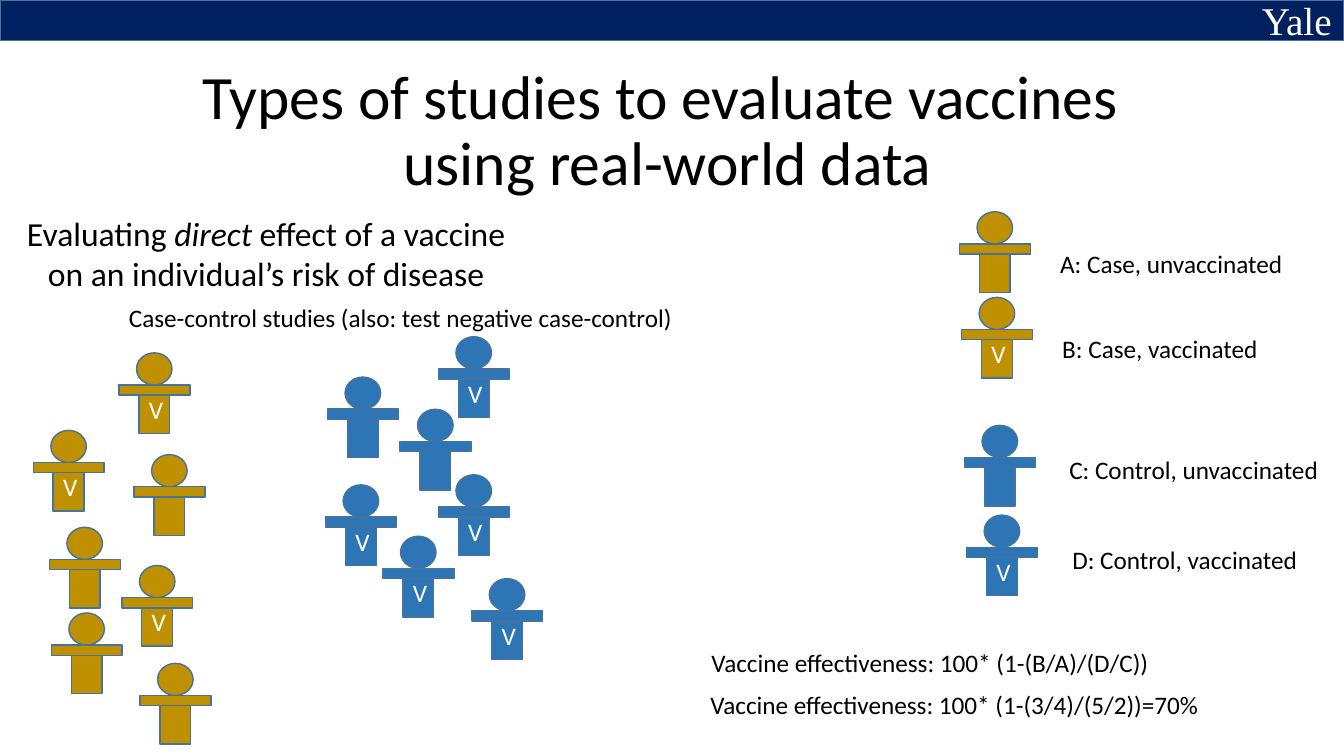
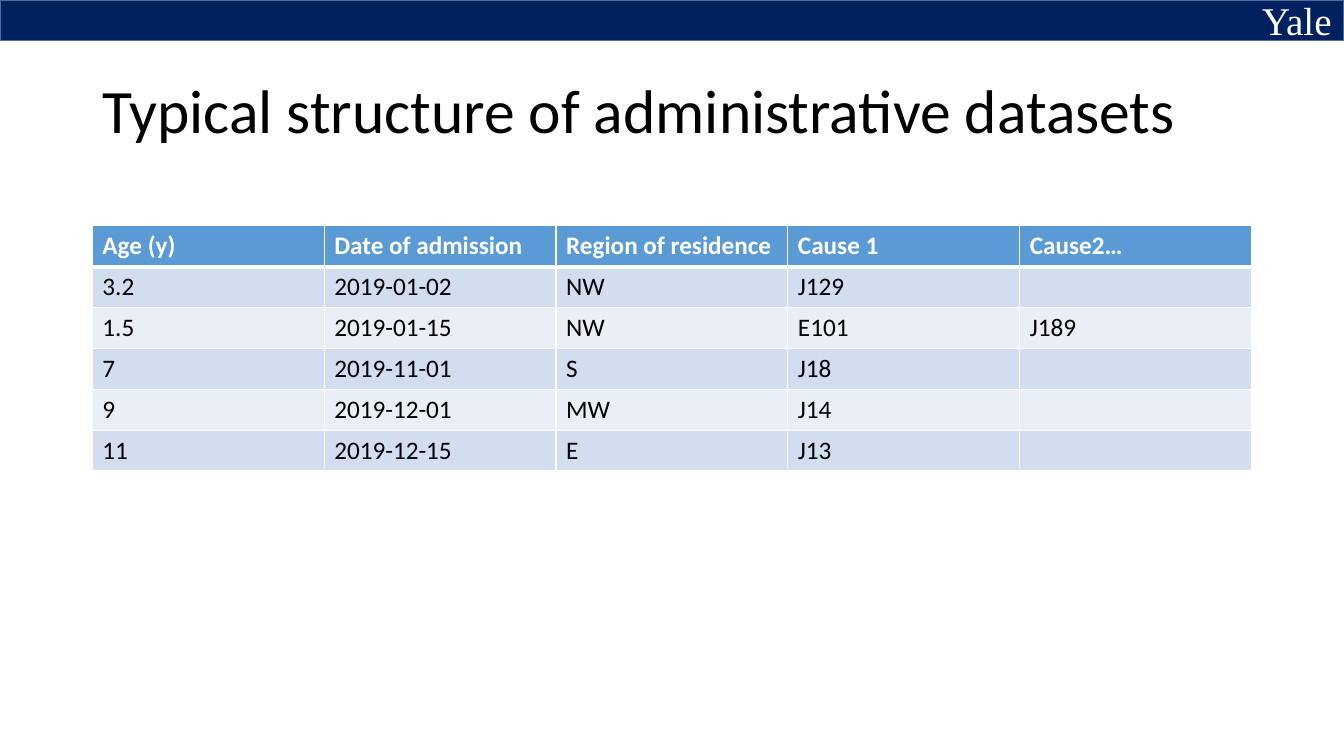
from lxml.etree import SubElement
from pptx import Presentation
from pptx.dml.color import RGBColor
from pptx.enum.shapes import MSO_SHAPE as SHAPE
from pptx.enum.text import MSO_ANCHOR as ANCHOR, PP_ALIGN as ALIGN
from pptx.oxml.ns import qn
from pptx.util import Pt

NAVY, OUTLINE, WHITE, BLACK = "002060", "43739E", "FFFFFF", "000000"
CASE, CONTROL = "BF9000", "2E75B6"
HEADER, BANDS = "5B9BD5", ("D2DEEF", "EAEFF7")
FONT, BRAND_FONT = "Calibri", "Times New Roman"
WIDTH, HEIGHT = 960, 540

BRAND = "Yale"
STUDIES_TITLE = "Types of studies to evaluate vaccines \vusing real-world data"
DATA_TITLE = "Typical structure of administrative datasets"

AIM = [
    ([("Evaluating ", False), ("direct", True), (" effect of a vaccine", False)], ALIGN.LEFT),
    ([("on an individual’s risk of disease", False)], ALIGN.CENTER),
]

PEOPLE = [
    (CASE, [(23.8, 307.4, "V"), (35.3, 376.6, ""), (95.8, 324.7, ""), (87.1, 403.9, "V"),
            (36.7, 437.8, ""), (85, 252, "V"), (100.1, 473.8, "")]),
    (CONTROL, [(234, 269.3, ""), (285.8, 292.3, ""), (232.6, 346.3, "V"), (313.2, 240.5, "V"),
               (313.2, 339.1, "V"), (273.6, 383, "V"), (337, 413.3, "V")]),
    (CASE, [(685.4, 151.2, ""), (686.9, 212.4, "V")]),
    (CONTROL, [(689, 303.8, ""), (690.5, 367.9, "V")]),
]

LABELS = [
    ("Case-control studies (also: test negative case-control)", 85, 212.4, 412.6),
    ("A: Case, unvaccinated", 750.2, 173.5, 175),
    ("B: Case, vaccinated", 751.7, 234.7, 155.5),
    ("C: Control, unvaccinated", 756.7, 321.1, 194.4),
    ("D: Control, vaccinated", 758.9, 385.2, 177.1),
    ("Vaccine effectiveness: 100* (1-(B/A)/(D/C))", 501.1, 458.6, 343.4),
    ("Vaccine effectiveness: 100* (1-(3/4)/(5/2))=70%", 500.4, 488.9, 380.2),
]

ADMISSIONS = [
    ("Age (y)", "Date of admission", "Region of residence", "Cause 1", "Cause2…"),
    ("3.2", "2019-01-02", "NW", "J129", ""),
    ("1.5", "2019-01-15", "NW", "E101", "J189"),
    ("7", "2019-11-01", "S", "J18", ""),
    ("9", "2019-12-01", "MW", "J14", ""),
    ("11", "2019-12-15", "E", "J13", ""),
]


def rgb(value):
    return RGBColor.from_string(value)


def style(r, size, color=BLACK, font=FONT, bold=False, italic=False):
    r.font.size = Pt(size)
    r.font.name = font
    r.font.color.rgb = rgb(color)
    r.font.bold = bold
    r.font.italic = italic


def add_box(s, x, y, w, h):
    tf = s.shapes.add_textbox(Pt(x), Pt(y), Pt(w), Pt(h)).text_frame
    tf.word_wrap = False
    return tf


def add_label(s, text, x, y, w, h=29, size=18, color=BLACK, font=FONT):
    tf = add_box(s, x, y, w, h)
    tf.text = text
    style(tf.paragraphs[0].runs[0], size, color, font)


def add_block(s, kind, x, y, w, h, fill):
    sp = s.shapes.add_shape(kind, Pt(x), Pt(y), Pt(w), Pt(h))
    sp.shadow.inherit = False
    sp.fill.solid()
    sp.fill.fore_color.rgb = rgb(fill)
    sp.line.color.rgb = rgb(OUTLINE)
    sp.line.width = Pt(1)
    return sp


def add_slide(prs, title, x, y, w, align):
    s = prs.slides.add_slide(prs.slide_layouts[6])
    add_block(s, SHAPE.RECTANGLE, 0, 0, WIDTH, 28.8, NAVY)
    add_label(s, BRAND, 894.2, -6.5, 65, 41, 28, WHITE, BRAND_FONT)
    tf = add_box(s, x, y, w, 104.4)
    tf.word_wrap = True
    tf.vertical_anchor = ANCHOR.MIDDLE
    tf.text = title
    p = tf.paragraphs[0]
    p.alignment = align
    p.line_spacing = 0.9
    for r in p.runs:
        style(r, 44)
    return s


def add_person(s, x, y, mark, fill):
    body = add_block(s, SHAPE.RECTANGLE, x + 14.2, y + 23, 22, 34.7, fill)
    add_block(s, SHAPE.OVAL, x + 12.5, y, 25.4, 23, fill)
    add_block(s, SHAPE.RECTANGLE, x, y + 23, 50.6, 7.3, fill)
    if mark:
        tf = body.text_frame
        tf.vertical_anchor = ANCHOR.MIDDLE
        tf.text = mark
        p = tf.paragraphs[0]
        p.alignment = ALIGN.CENTER
        style(p.runs[0], 18, WHITE)


def add_aim(s):
    tf = add_box(s, 12.2, 148.3, 365.8, 65.4)
    for i, (pieces, align) in enumerate(AIM):
        p = tf.add_paragraph() if i else tf.paragraphs[0]
        p.alignment = align
        for text, italic in pieces:
            r = p.add_run()
            r.text = text
            style(r, 24, italic=italic)


def set_borders(cell, widths):
    tc_pr = cell._tc.get_or_add_tcPr()
    for i, (side, width) in enumerate(widths.items()):
        ln = tc_pr.makeelement(qn(f"a:{side}"), {"w": str(Pt(width))})
        SubElement(SubElement(ln, qn("a:solidFill")), qn("a:srgbClr"), val=WHITE)
        tc_pr.insert(i, ln)


def add_grid(s, rows, x, y, w, h):
    table = s.shapes.add_table(len(rows), len(rows[0]), Pt(x), Pt(y), Pt(w), Pt(h)).table
    for i, row in enumerate(rows):
        head = i == 0
        for j, text in enumerate(row):
            cell = table.cell(i, j)
            cell.text = text
            cell.fill.solid()
            cell.fill.fore_color.rgb = rgb(HEADER if head else BANDS[(i - 1) % 2])
            set_borders(cell, {"lnL": 1, "lnR": 1, "lnT": 3 if i == 1 else 1, "lnB": 3 if head else 1})
            for r in cell.text_frame.paragraphs[0].runs:
                style(r, 18, WHITE if head else BLACK, bold=head)


def main():
    prs = Presentation()
    prs.slide_width, prs.slide_height = Pt(WIDTH), Pt(HEIGHT)

    s = add_slide(prs, STUDIES_TITLE, -6.5, 42.5, 967, ALIGN.CENTER)
    add_aim(s)
    for fill, group in PEOPLE:
        for x, y, mark in group:
            add_person(s, x, y, mark, fill)
    for label in LABELS:
        add_label(s, *label)

    s = add_slide(prs, DATA_TITLE, 66, 28.8, 828, ALIGN.LEFT)
    add_grid(s, ADMISSIONS, 66, 161.3, 828, 175.2)

    prs.save("out.pptx")


if __name__ == "__main__":
    main()
